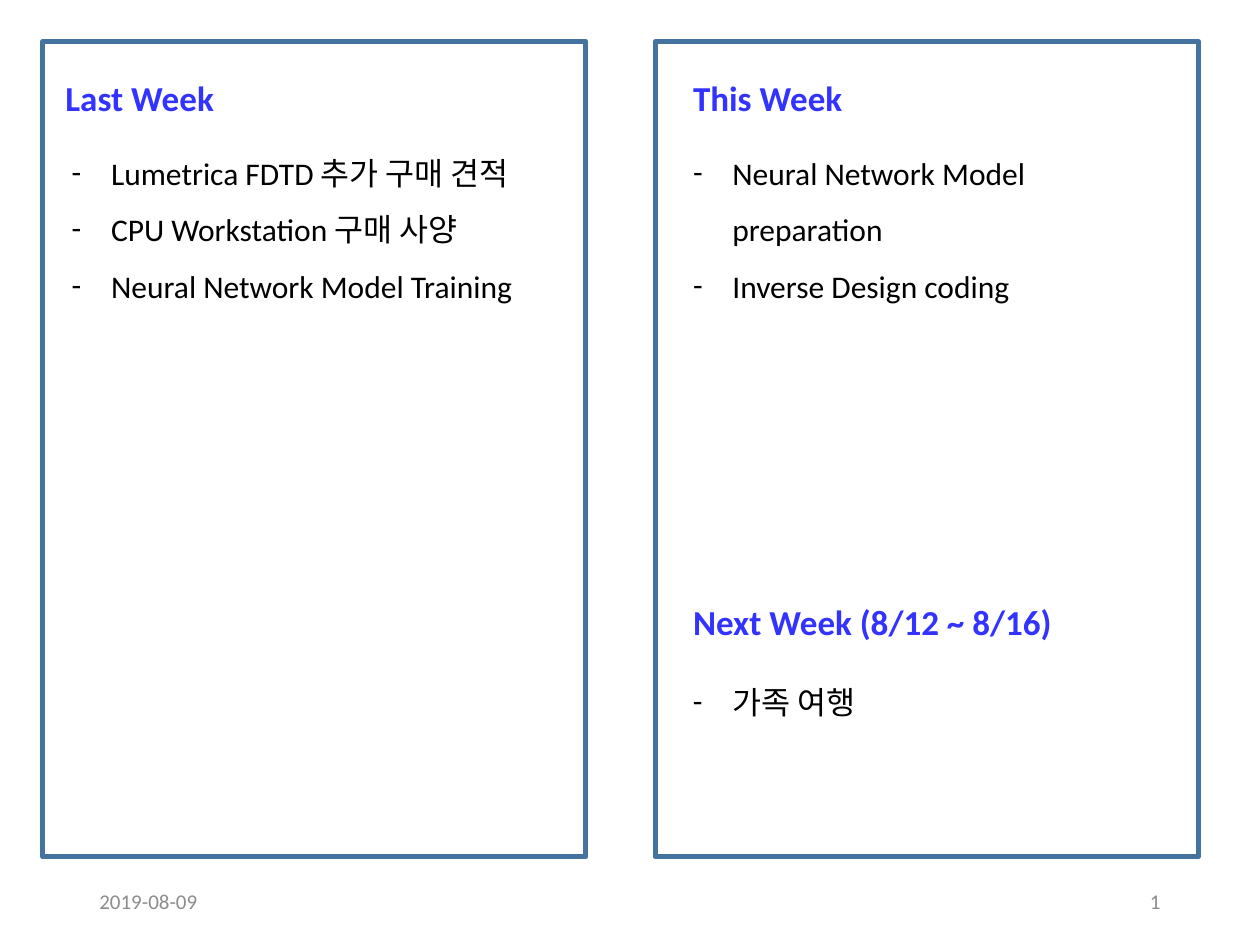
import pptx
import pptx.util
import pptx.dml.color
import pptx.enum.shapes
import pptx.enum.text
import pptx.oxml.ns
import lxml.etree

Pt = pptx.util.Pt
ANCHOR = pptx.enum.text.MSO_ANCHOR
ALIGN = pptx.enum.text.PP_ALIGN

COLORS = {"heading": "3333FF", "body": "000000", "footer": "8C8C8C", "frame": "43739E"}
FONT = "Calibri"

# Content: placeholder numbers refer to the Comparison layout, None means a text box
SECTIONS = [
    {
        "heading": "Last Week", "heading_slot": 0, "heading_at": (30.2, 40.3, 290, 31.7),
        "items": ["Lumetrica FDTD 추가 구매 견적", "CPU Workstation 구매 사양",
                  "Neural Network Model Training"],
        "list_slot": 2, "list_at": (33.8, 73.4, 301.7, 138.2),
    },
    {
        "heading": "This Week", "heading_slot": 1, "heading_at": (388.8, 40.3, 281.5, 31.7),
        "items": ["Neural Network Model preparation", "Inverse Design coding"],
        "list_slot": 4, "list_at": (388.8, 73.4, 281.5, 105.1),
    },
    {
        "heading": "Next Week (8/12 ~ 8/16)", "heading_slot": 3,
        "heading_at": (388.8, 339.8, 281.5, 31.7),
        "items": ["가족 여행"],
        "list_slot": None, "list_at": (388.8, 375.8, 281.5, 36.7),
    },
]
FOOTERS = [("2019-08-09", 49.7, ALIGN.LEFT), ("1", 508.3, ALIGN.RIGHT)]
FRAME_LEFTS = [24.5, 374.4]


def color(name):
    return pptx.dml.color.RGBColor.from_string(COLORS[name])


def place_box(slide, slot, bounds, anchor=ANCHOR.TOP):
    """Return a placed text box or placeholder with a fixed size."""
    left, top, width, height = map(Pt, bounds)
    if slot is None:
        box = slide.shapes.add_textbox(left, top, width, height)
    else:
        box = slide.placeholders[slot]
        box.left, box.top, box.width, box.height = left, top, width, height
    frame = box.text_frame
    frame.word_wrap = True
    frame.auto_size = pptx.enum.text.MSO_AUTO_SIZE.NONE
    frame.vertical_anchor = anchor
    return frame


def add_dash(para):
    properties = para._p.get_or_add_pPr()
    properties.set("marL", str(Pt(22.5)))
    properties.set("indent", str(Pt(-22.5)))
    for tag, key, value in (("a:buFont", "typeface", FONT), ("a:buChar", "char", "-")):
        bullet = lxml.etree.SubElement(properties, pptx.oxml.ns.qn(tag))
        bullet.set(key, value)


def write(frame, lines, size, color_name, bold=False, align=ALIGN.LEFT, dashes=False):
    for index, line in enumerate(lines):
        para = frame.add_paragraph() if index else frame.paragraphs[0]
        if dashes:
            add_dash(para)
        para.alignment = align
        para.space_before = Pt(0)
        para.line_spacing = 1.5 if dashes else 1.0
        span = para.add_run()
        span.text = line
        span.font.name = FONT
        span.font.size = Pt(size)
        span.font.bold = bold
        span.font.color.rgb = color(color_name)


def main():
    deck = pptx.Presentation()
    deck.slide_width, deck.slide_height = Pt(720), Pt(540)
    page = deck.slides.add_slide(deck.slide_layouts.get_by_name("Comparison"))

    # Date and page number
    for text, left, align in FOOTERS:
        frame = place_box(page, None, (left, 500.4, 162, 28.8), ANCHOR.MIDDLE)
        write(frame, [text], 12, "footer", align=align)

    # Headings and their lists
    for section in SECTIONS:
        frame = place_box(page, section["heading_slot"], section["heading_at"])
        write(frame, [section["heading"]], 20, "heading", bold=True)
        frame = place_box(page, section["list_slot"], section["list_at"])
        write(frame, section["items"], 18, "body", dashes=True)

    # Column frames
    for left in FRAME_LEFTS:
        border = page.shapes.add_shape(
            pptx.enum.shapes.MSO_SHAPE.RECTANGLE, Pt(left), Pt(23.8), Pt(310.3), Pt(465.8))
        border.shadow.inherit = False
        border.fill.background()
        border.line.color.rgb = color("frame")
        border.line.width = Pt(3)

    deck.save("out.pptx")


if __name__ == "__main__":
    main()
